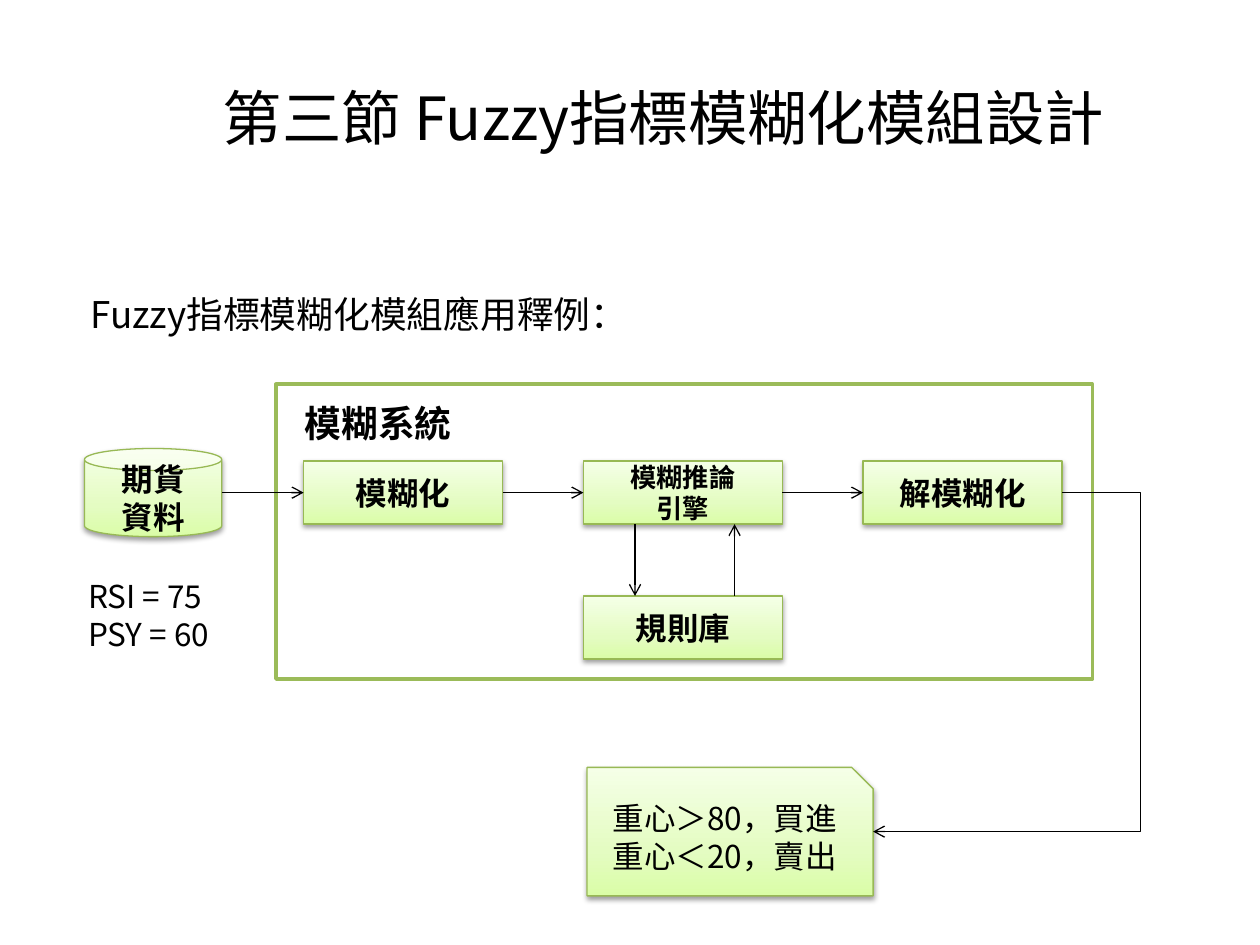
from pptx import Presentation
from pptx.dml.color import RGBColor
from pptx.enum.shapes import MSO_CONNECTOR, MSO_SHAPE
from pptx.enum.text import MSO_ANCHOR, PP_ALIGN
from pptx.oxml import parse_xml
from pptx.oxml.ns import nsdecls, qn
from pptx.util import Inches, Pt

RECT, CAN, SNIP = MSO_SHAPE.RECTANGLE, MSO_SHAPE.CAN, MSO_SHAPE.SNIP_1_RECTANGLE
LINE, ELBOW = MSO_CONNECTOR.STRAIGHT, MSO_CONNECTOR.ELBOW
LEFT, MID = PP_ALIGN.LEFT, PP_ALIGN.CENTER
TOP, BOTTOM, WEST, EAST = 0, 2, 1, 3

FACE = "Noto Sans CJK SC"
COLORS = {"ink": "000000", "paper": "FFFFFF", "frame": "9BBB59", "edge": "98B955"}
STOPS = [(0, "DAFDA7"), (35, "E4FCC2"), (100, "F5FFE7")]

# Content
TITLE = "第三節 Fuzzy指標模糊化模組設計"
NODES = {  # name: (lines, column, row, size)
    "fuzz": (["模糊化"], 0, 0, 18),
    "infer": (["模糊推論", "引擎"], 1, 0, 15),
    "defuzz": (["解模糊化"], 2, 0, 18),
    "rules": (["規則庫"], 1, 1, 18),
}
DATA = ["期貨", "資料"]
RESULT = ["重心＞80，買進", "重心＜20，賣出"]
LABELS = [  # lines, place, size, bold
    (["模糊系統"], (2.32, 3.13, 1.4, 0.45), 21, True),
    (["Fuzzy指標模糊化模組應用釋例："], (0.62, 2.27, 4.47, 0.45), 21, False),
    (["RSI = 75", "PSY = 60"], (0.6, 4.53, 1.21, 0.71), 18, False),
]

# Grid of the fuzzy system
X, Y, WIDE, HIGH = 2.41, 3.66, 1.58, 0.5
STEP_X, STEP_Y = 2.22, 1.07
AXIS = Y + HIGH / 2

deck = Presentation()
deck.slide_width, deck.slide_height = Inches(10), Inches(7.5)
slide = deck.slides.add_slide(deck.slide_layouts[5])
shapes = slide.shapes


def rgb(name):
    return RGBColor.from_string(COLORS[name])


def inches(place):
    return [Inches(v) for v in place]


def write(frame, lines, size, bold=False, align=LEFT):
    frame.word_wrap = True
    for i, line in enumerate(lines):
        para = frame.paragraphs[0] if i == 0 else frame.add_paragraph()
        para.alignment = align
        run = para.add_run()
        run.text = line
        form = {"size": Pt(size), "bold": bold, "name": FACE}
        for key, value in form.items():
            setattr(run.font, key, value)
        run.font.color.rgb = rgb("ink")
        run.font._element.append(
            parse_xml(f'<a:ea {nsdecls("a")} typeface="{FACE}"/>'))


def card(kind, place, lines, size, bold=True):
    """Add a green gradient shape with a soft shadow."""
    box = shapes.add_shape(kind, *inches(place))
    box.line.color.rgb = rgb("edge")
    box.line.width = Pt(0.75)
    stops = "".join(f'<a:gs pos="{pos * 1000}"><a:srgbClr val="{tint}"/></a:gs>'
                    for pos, tint in STOPS)
    props = box._element.spPr
    props.find(qn("a:prstGeom")).addnext(parse_xml(
        f'<a:gradFill {nsdecls("a")} rotWithShape="1"><a:gsLst>{stops}</a:gsLst>'
        '<a:lin ang="16200000" scaled="0"/></a:gradFill>'))
    props.append(parse_xml(
        f'<a:effectLst {nsdecls("a")}><a:outerShdw blurRad="{Pt(3.1)}" '
        f'dist="{Pt(1.6)}" dir="5400000" rotWithShape="0">'
        f'<a:srgbClr val="{COLORS["ink"]}"><a:alpha val="38000"/></a:srgbClr>'
        '</a:outerShdw></a:effectLst>'))
    box.text_frame.vertical_anchor = MSO_ANCHOR.MIDDLE
    write(box.text_frame, lines, size, bold, MID)
    return box


def arrow(start, end, kind=LINE):
    link = shapes.add_connector(kind, *inches(start + end))
    link.line.color.rgb = rgb("ink")
    link.line.width = Pt(0.75)
    link.line._get_or_add_ln().append(
        parse_xml(f'<a:tailEnd {nsdecls("a")} type="arrow"/>'))
    link._element.spPr.append(parse_xml(f'<a:effectLst {nsdecls("a")}/>'))
    return link


# Title, moved right of centre by its inset
title = shapes.title
title.left, title.top, title.width, title.height = inches((0.5, 0.3, 9, 1.25))
title.text_frame.margin_left = Inches(0.63)
title.text_frame.vertical_anchor = MSO_ANCHOR.MIDDLE
write(title.text_frame, [TITLE], 34, align=MID)

# System frame
frame = shapes.add_shape(RECT, *inches((2.19, 3.05, 6.48, 2.34)))
frame.shadow.inherit = False
frame.fill.solid()
frame.fill.fore_color.rgb = rgb("paper")
frame.line.color.rgb = rgb("frame")
frame.line.width = Pt(2)

# Nodes, source data and result
boxes = {}
for name, (lines, col, row, size) in NODES.items():
    place = (X + col * STEP_X, Y + row * STEP_Y, WIDE, HIGH)
    boxes[name] = card(RECT, place, lines, size)
card(CAN, (0.67, 3.56, 1.09, 0.7), DATA, 18)
card(SNIP, (4.66, 6.09, 2.27, 1.02), RESULT, 18, False)

# Flow along the main row
feed = arrow((1.76, AXIS), (X, AXIS))
feed.end_connect(boxes["fuzz"], WEST)
for i, (a, b) in enumerate([("fuzz", "infer"), ("infer", "defuzz")]):
    left = X + i * STEP_X + WIDE
    link = arrow((left, AXIS), (X + (i + 1) * STEP_X, AXIS))
    link.begin_connect(boxes[a], EAST)
    link.end_connect(boxes[b], WEST)

# Exchange between engine and rules
upper, lower = Y + HIGH, Y + STEP_Y
arrow((5.04, upper), (5.04, lower))
arrow((5.83, lower), (5.83, upper))

# Output bends outside the frame
out = arrow((X + 2 * STEP_X + WIDE, AXIS), (6.93, 6.6), ELBOW)
geom = out._element.spPr.find(qn("a:prstGeom"))
geom.get_or_add_avLst().append(
    parse_xml(f'<a:gd {nsdecls("a")} name="adj1" fmla="val -41500"/>'))

# Labels
for lines, place, size, bold in LABELS:
    write(shapes.add_textbox(*inches(place)).text_frame, lines, size, bold)

deck.save("out.pptx")
